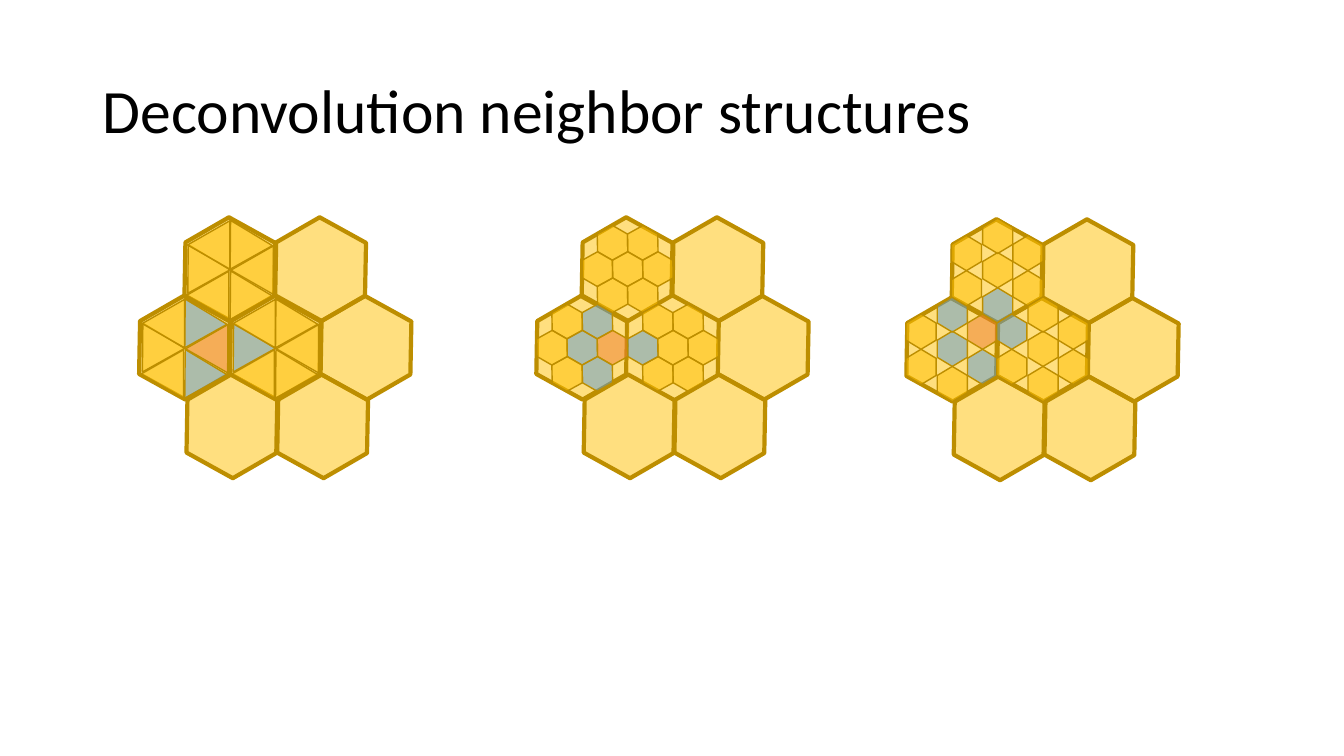
import pptx
import pptx.util
import pptx.dml.color
import pptx.enum.shapes
import pptx.enum.text
from lxml import etree

HEXAGON = pptx.enum.shapes.MSO_SHAPE.HEXAGON
TRIANGLE = pptx.enum.shapes.MSO_SHAPE.ISOSCELES_TRIANGLE
Inches = pptx.util.Inches

HEADING = "Deconvolution neighbor structures"
GOLD, BLUE, ORANGE, OUTLINE, BLACK = "FFC000", "5B9BD5", "ED7D31", "BD8E00", "000000"

SPOT_SIZE = (1.04, 0.9)
SPOT_PITCH, ROW_RISE = 0.9, 0.78
SPOT_ROWS = [
    (0, 0, ["left", "center", "right"]),
    (-1, 0.45, ["top", "top right"]),
    (1, 0.47, ["bottom", "bottom right"]),
]
SPLIT_SPOTS = ["left", "top", "center"]

WEDGE_SIZE = (0.48, 0.42)
CELL_SIZE = (0.35, 0.3)
WEDGES = [
    (-0.03, 0.18, 330.8), (0.39, 0.44, 330.8), (0.39, -0.06, 330.8),
    (0.5, 0.25, 270), (0.06, 0.5, 270), (0.07, 0, 270),
]
PACKED_CELLS = [
    (0.2, 0.04, 30), (0.5, 0.04, 30), (0.35, 0.3, 30), (0.65, 0.3, 30),
    (0.5, 0.56, 30), (0.2, 0.56, 30), (0.05, 0.3, 30),
]
STAR_CELLS = [
    (0.65, 0.12, 90), (0.65, 0.47, 90), (0.35, 0.29, 90), (0.35, 0.64, 90),
    (0.04, 0.47, 90), (0.04, 0.12, 90), (0.35, -0.05, 90),
]

CLUSTERS = [
    {
        "origin": (8.92, 3.02), "kind": HEXAGON, "size": CELL_SIZE, "cells": STAR_CELLS,
        "focus": ("left", 0), "center line": 3,
        "neighbors": [("left", 1), ("left", 2), ("left", 6), ("top", 3), ("center", 5)],
    },
    {
        "origin": (5.25, 3), "kind": HEXAGON, "size": CELL_SIZE, "cells": PACKED_CELLS,
        "focus": ("left", 3), "center line": 1,
        "neighbors": [("left", 1), ("left", 2), ("left", 4), ("center", 6)],
    },
    {
        "origin": (1.31, 3), "kind": TRIANGLE, "size": WEDGE_SIZE, "cells": WEDGES,
        "focus": ("left", 3), "center line": 3,
        "neighbors": [("left", 1), ("left", 2), ("center", 0)],
    },
]


def color(hex_code):
    return pptx.dml.color.RGBColor.from_string(hex_code)


def add_tile(group, kind, left, top, size, turn, fill, line_width):
    tile = group.shapes.add_shape(kind, Inches(left), Inches(top), *map(Inches, size))
    tile.rotation = turn
    tile.shadow.inherit = False
    if kind == HEXAGON:
        tile.adjustments[0] = 0.301
    tile.fill.solid()
    tile.fill.fore_color.rgb = color(fill)
    fill_color = tile.fill._xPr.find(".//" + pptx.oxml.ns.qn("a:srgbClr"))
    etree.SubElement(fill_color, pptx.oxml.ns.qn("a:alpha"), val="50000")
    tile.line.color.rgb = color(OUTLINE)
    tile.line.width = pptx.util.Pt(line_width)


def add_cluster(slide, cluster):
    group = slide.shapes.add_group_shape()
    origin_left, origin_top = cluster["origin"]
    corners = {}
    for row, indent, spots in SPOT_ROWS:
        for column, spot in enumerate(spots):
            left = origin_left + indent + column * SPOT_PITCH
            top = origin_top + row * ROW_RISE
            corners[spot] = (left, top)
            width = cluster["center line"] if spot == "center" else 3
            add_tile(group, HEXAGON, left, top, SPOT_SIZE, 330, GOLD, width)
    for spot in SPLIT_SPOTS:
        left, top = corners[spot]
        for number, (across, down, turn) in enumerate(cluster["cells"]):
            fill = GOLD
            if (spot, number) == cluster["focus"]:
                fill = ORANGE
            elif (spot, number) in cluster["neighbors"]:
                fill = BLUE
            add_tile(group, cluster["kind"], left + across, top + down,
                     cluster["size"], turn, fill, 1)


def add_heading(slide):
    heading = slide.shapes.add_textbox(Inches(0.92), Inches(0.4), Inches(11.5), Inches(1.45))
    frame = heading.text_frame
    frame.word_wrap = True
    frame.vertical_anchor = pptx.enum.text.MSO_ANCHOR.MIDDLE
    paragraph = frame.paragraphs[0]
    paragraph.line_spacing = 0.9
    run = paragraph.add_run()
    run.text = HEADING
    run.font.name = "Calibri"
    run.font.size = pptx.util.Pt(44)
    run.font.color.rgb = color(BLACK)


def main():
    deck = pptx.Presentation()
    deck.slide_width, deck.slide_height = Inches(13.33), Inches(7.5)
    slide = deck.slides.add_slide(deck.slide_layouts[6])
    for cluster in CLUSTERS:
        add_cluster(slide, cluster)
    add_heading(slide)
    deck.save("out.pptx")


if __name__ == "__main__":
    main()
